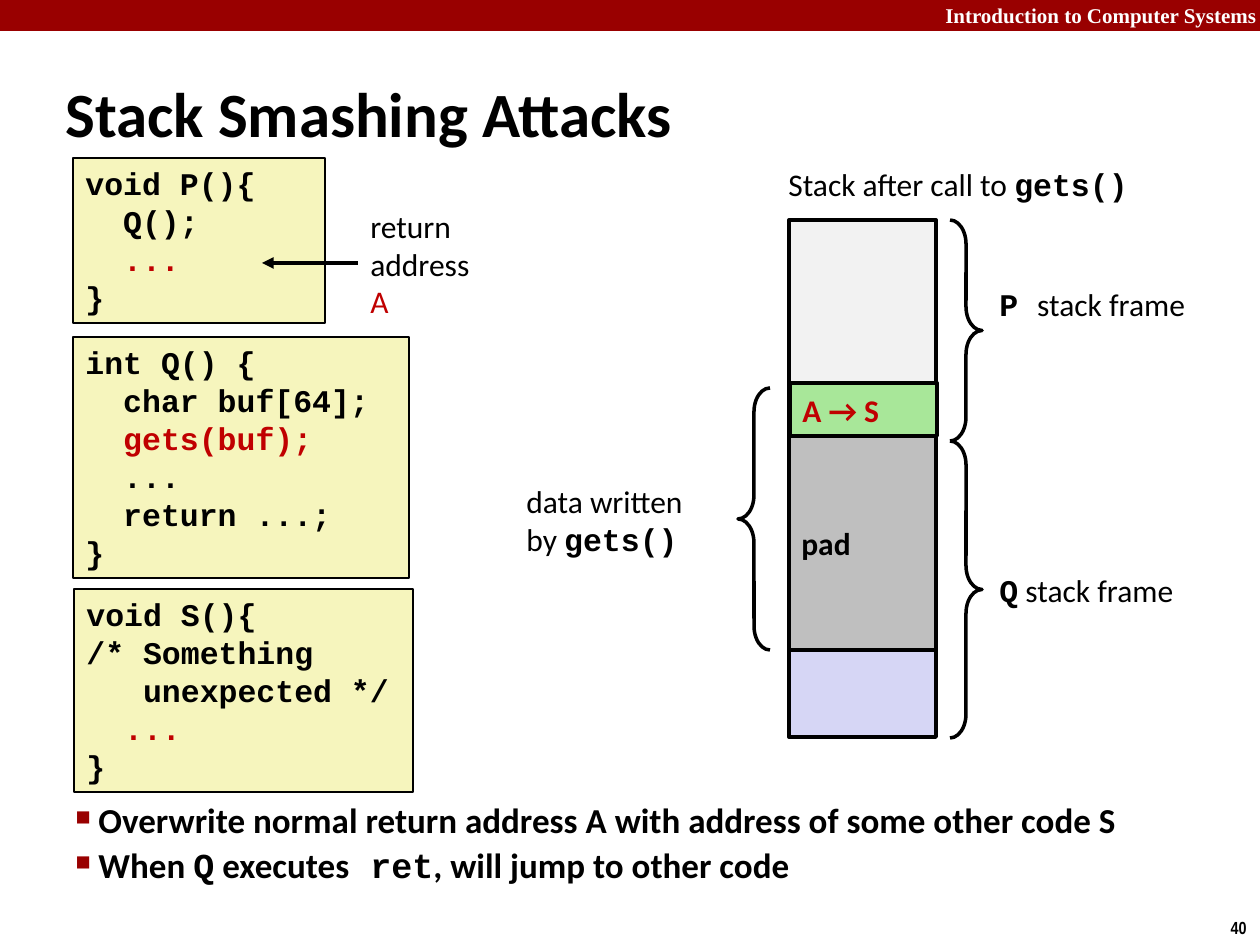
import pptx
import pptx.dml.color
import pptx.enum.shapes
import pptx.enum.text
import pptx.oxml.ns
import pptx.util
from dataclasses import dataclass
from lxml import etree

SHAPES = pptx.enum.shapes.MSO_SHAPE
ALIGN = pptx.enum.text.PP_ALIGN
TOP = pptx.enum.text.MSO_ANCHOR.TOP
MIDDLE = pptx.enum.text.MSO_ANCHOR.MIDDLE


@dataclass(frozen=True)
class Theme:
    black: str = "000000"
    white: str = "FFFFFF"
    banner: str = "990000"
    accent: str = "C00000"
    code_fill: str = "F6F5BD"
    caller_fill: str = "F2F2F2"
    callee_fill: str = "D6D6F5"
    pad_fill: str = "BFBFBF"
    address_fill: str = "A8E799"
    sans: str = "Calibri"
    mono: str = "Courier New"
    serif: str = "Times New Roman"
    narrow: str = "Arial Narrow"
    title: int = 36
    bullet: int = 20
    body: int = 18
    header: int = 12
    number: int = 10


THEME = Theme()
MONO = {"name": THEME.mono, "bold": True}
RED = {"color": THEME.accent}


def px(length):
    return pptx.util.Emu(round(length * 914400 / 126))


def rgb(value):
    return pptx.dml.color.RGBColor.from_string(value)


def style_font(font, name=None, size=None, bold=None, color=None):
    if name:
        font.name = name
    if size:
        font.size = pptx.util.Pt(size)
    if bold is not None:
        font.bold = bold
    if color:
        font.color.rgb = rgb(color)


def write_lines(shape, lines, anchor=TOP, align=ALIGN.LEFT, wrap=True,
                name=THEME.sans, size=THEME.body, bold=False, color=THEME.black):
    frame = shape.text_frame
    frame.word_wrap = wrap
    frame.vertical_anchor = anchor
    for index, line in enumerate(lines):
        paragraph = frame.paragraphs[0] if index == 0 else frame.add_paragraph()
        paragraph.alignment = align
        style_font(paragraph.font, name, size, bold, color)
        for text, changes in [(line, {})] if isinstance(line, str) else line:
            run = paragraph.add_run()
            run.text = text
            style_font(run.font, **changes)
    return frame


def add_text(slide, box, lines, **style):
    shape = slide.shapes.add_textbox(*map(px, box))
    return write_lines(shape, lines, **style)


def add_box(slide, box, fill, line_width=2.25):
    shape = slide.shapes.add_shape(SHAPES.RECTANGLE, *map(px, box))
    shape.shadow.inherit = False
    shape.fill.solid()
    shape.fill.fore_color.rgb = rgb(fill)
    if line_width:
        shape.line.color.rgb = rgb(THEME.black)
        shape.line.width = pptx.util.Pt(line_width)
    else:
        shape.line.fill.background()
    return shape


def add_brace(slide, kind, box):
    brace = slide.shapes.add_shape(kind, *map(px, box))
    brace.shadow.inherit = False
    brace.adjustments[0] = 0.75
    brace.fill.background()
    brace.line.color.rgb = rgb(THEME.black)
    brace.line.width = pptx.util.Pt(2)


def add_arrow(slide, start, end):
    arrow = slide.shapes.add_connector(
        pptx.enum.shapes.MSO_CONNECTOR.STRAIGHT, *map(px, start + end))
    arrow.line.color.rgb = rgb(THEME.black)
    arrow.line.width = pptx.util.Pt(2.25)
    qn = pptx.oxml.ns.qn
    etree.SubElement(arrow.line._get_or_add_ln(), qn("a:tailEnd"), type="triangle")
    etree.SubElement(arrow._element.spPr, qn("a:effectLst"))


def add_frame(slide, width, height):
    add_box(slide, (0, 0, width, 31), THEME.banner, line_width=0)
    add_text(slide, (756, -4, 513, 38), ["Introduction to Computer Systems"],
             align=ALIGN.RIGHT, name=THEME.serif, size=THEME.header,
             bold=True, color=THEME.white)
    add_text(slide, (width - 43, height - 34, 43, 34), ["40"], align=ALIGN.CENTER,
             wrap=False, name=THEME.narrow, size=THEME.number, bold=True)
    add_text(slide, (53, 73, 1144, 79), ["Stack Smashing Attacks"],
             anchor=MIDDLE, size=THEME.title, bold=True)


def add_code(slide, box, lines):
    shape = add_box(slide, box, THEME.code_fill, line_width=1)
    frame = write_lines(shape, lines, **MONO)
    for paragraph in frame.paragraphs:
        paragraph.line_spacing = pptx.util.Pt(21.7)


def add_code_column(slide, left, top):
    add_code(slide, (left, top, 252, 165), [
        "void P(){", "  Q();", [("  ", {}), ("...", RED)], "}"])
    add_code(slide, (left, top + 179, 336, 241), [
        "int Q() {", "  char buf[64];", [("  ", {}), ("gets(buf);", RED)],
        "  ...", "  return ...;", "}"])
    add_code(slide, (left + 1, top + 431, 339, 203), [
        "void S(){", "/* Something", "   unexpected */",
        [("  ", {}), ("...", RED)], "}"])
    add_text(slide, (left + 285, top + 42, 126, 127),
             ["return", "address", [("A", RED)]], anchor=MIDDLE)
    add_arrow(slide, (left + 285, top + 105), (left + 189, top + 105))


def add_stack(slide, left, top, width):
    add_text(slide, (left - 13, top - 61, 390, 50),
             [[("Stack after call to ", {}), ("gets()", MONO)]])
    add_box(slide, (left, top, width, 215), THEME.caller_fill)
    add_box(slide, (left, top + 215, width, 302), THEME.callee_fill)
    pad = add_box(slide, (left, top + 215, width, 215), THEME.pad_fill)
    write_lines(pad, ["pad"], anchor=MIDDLE, bold=True)
    address = add_box(slide, (left + 1, top + 163, width, 53), THEME.address_fill)
    write_lines(address, ["A → S"], anchor=MIDDLE, bold=True, color=THEME.accent)

    right = left + width
    add_brace(slide, SHAPES.RIGHT_BRACE, (right + 14, top, 32, 221))
    add_brace(slide, SHAPES.RIGHT_BRACE, (right + 14, top + 221, 32, 297))
    add_brace(slide, SHAPES.LEFT_BRACE, (left - 51, top + 168, 32, 262))
    add_text(slide, (right + 51, top + 59, 230, 50),
             [[("P ", MONO), ("stack frame", {})]], anchor=MIDDLE)
    add_text(slide, (right + 51, top + 345, 230, 50),
             [[("Q", MONO), (" stack frame", {})]], anchor=MIDDLE)
    add_text(slide, (left - 275, top + 255, 189, 90),
             ["data written", [("by ", {}), ("gets()", MONO)]], anchor=MIDDLE)


def add_bullets(slide, box):
    frame = add_text(slide, box, [
        "Overwrite normal return address A with address of some other code S",
        [("When ", {}), ("Q", MONO), (" executes", {}), (" ret", MONO),
         (", will jump to other code", {})],
    ], anchor=MIDDLE, size=THEME.bullet, bold=True)
    qn = pptx.oxml.ns.qn
    for index, paragraph in enumerate(frame.paragraphs):
        paragraph.line_spacing = 0.9
        paragraph.space_before = pptx.util.Pt(4 if index else 0)
        properties = paragraph._p.get_or_add_pPr()
        properties.set("marL", str(px(23)))
        properties.set("indent", str(-px(23)))
        color = etree.Element(qn("a:buClr"))
        etree.SubElement(color, qn("a:srgbClr"), val=THEME.banner)
        size = etree.Element(qn("a:buSzPct"), val="60000")
        mark = etree.Element(qn("a:buChar"), char="■")
        default_font = properties.find(qn("a:defRPr"))
        for element in (color, size, mark):
            default_font.addprevious(element)


def main():
    presentation = pptx.Presentation()
    width, height = 1260, 945
    presentation.slide_width = px(width)
    presentation.slide_height = px(height)
    slide = presentation.slides.add_slide(presentation.slide_layouts[6])
    add_frame(slide, width, height)
    add_code_column(slide, 73, 158)
    add_stack(slide, 789, 220, 147)
    add_bullets(slide, (63, 766, 1138, 158))
    presentation.save("out.pptx")


if __name__ == "__main__":
    main()
